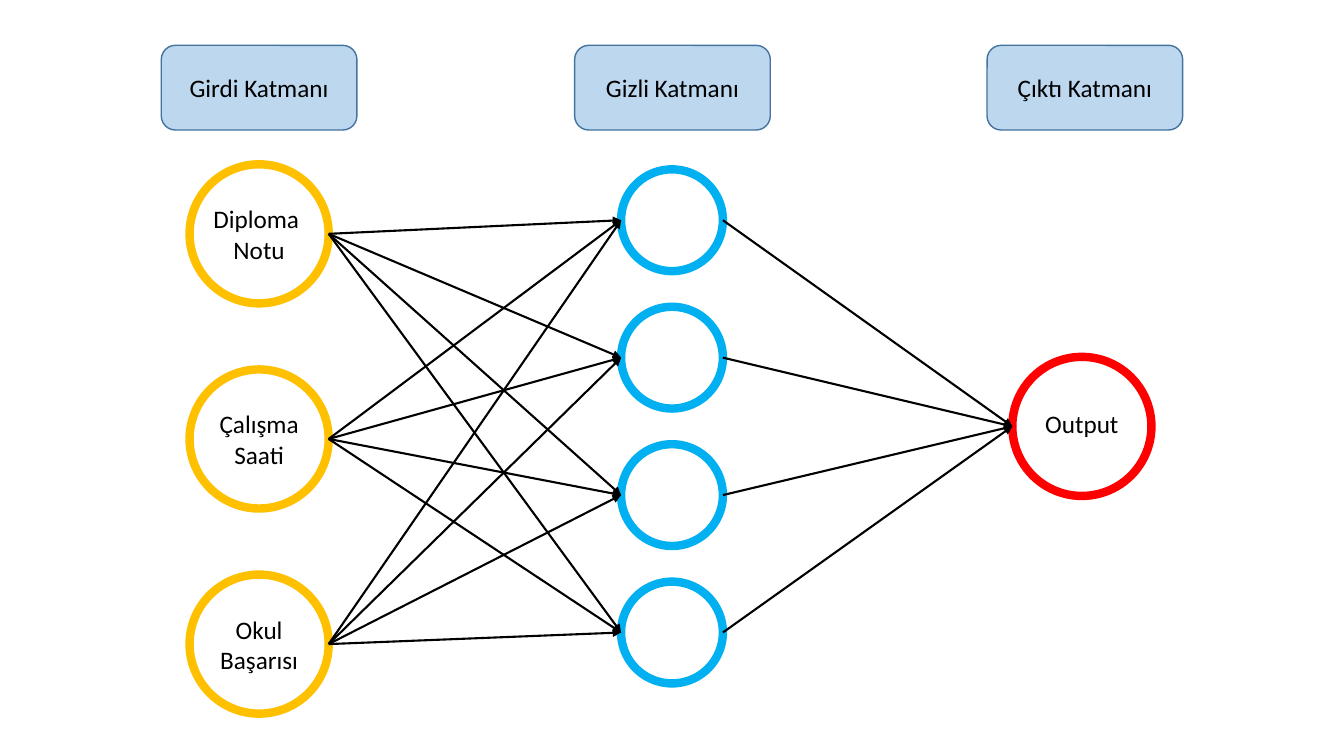
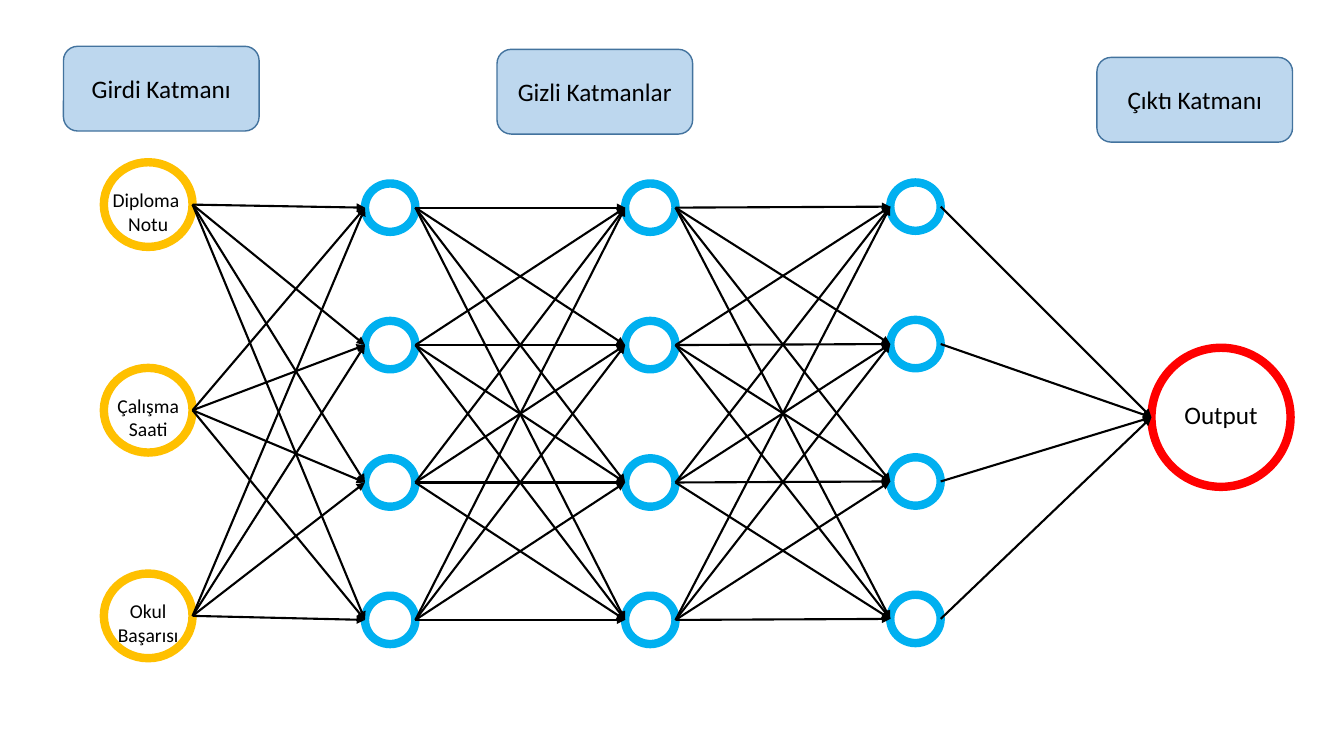
from dataclasses import dataclass
from itertools import pairwise, product

from lxml.etree import SubElement
from pptx import Presentation
from pptx.dml.color import RGBColor
from pptx.enum.shapes import MSO_CONNECTOR, MSO_SHAPE
from pptx.enum.text import MSO_ANCHOR, PP_ALIGN
from pptx.oxml.ns import qn
from pptx.shapes.autoshape import Shape
from pptx.slide import Slide
from pptx.text.text import TextFrame
from pptx.util import Inches, Pt

FONT = "Calibri"
BLACK = "000000"
INPUT_RING = "FFC000"
HIDDEN_RING = "00B0F0"
OUTPUT_RING = "FF0000"
LABEL_FILL = "BDD7EE"
LABEL_LINE = "43739E"
LABEL_WIDTH, LABEL_HEIGHT = 1.94, 0.84
ELLIPSE_LEFT_SITE, ELLIPSE_RIGHT_SITE = 2, 6


@dataclass(frozen=True)
class Label:
    text: str
    left: float
    top: float


@dataclass(frozen=True)
class Layer:
    ring: str
    left: float
    first_top: float
    last_top: float
    width: float
    height: float
    captions: tuple[tuple[str, ...], ...]
    text_size: int = 18
    text_shift: float = 0

    def tops(self) -> list[float]:
        gaps = len(self.captions) - 1
        pitch = (self.last_top - self.first_top) / gaps if gaps else 0
        return [self.first_top + index * pitch for index in range(gaps + 1)]


@dataclass(frozen=True)
class Network:
    labels: tuple[Label, ...]
    layers: tuple[Layer, ...]


INPUTS = (("Diploma ", "Notu"), ("Çalışma", "Saati"), ("Okul", "Başarısı"))
HIDDEN = ((),) * 4
OUTPUTS = (("Output",),)

NETWORKS = (
    Network(
        (
            Label("Girdi Katmanı", 1.6, 0.45),
            Label("Gizli Katmanı", 5.7, 0.45),
            Label("Çıktı Katmanı", 9.79, 0.45),
        ),
        (
            Layer(INPUT_RING, 1.88, 1.63, 5.7, 1.38, 1.38, INPUTS),
            Layer(HIDDEN_RING, 6.16, 1.68, 5.77, 1.01, 1.01, HIDDEN),
            Layer(OUTPUT_RING, 10.04, 3.54, 3.54, 1.38, 1.38, OUTPUTS, text_shift=-0.03),
        ),
    ),
    Network(
        (
            Label("Girdi Katmanı", 0.63, 0.46),
            Label("Gizli Katmanlar", 4.93, 0.49),
            Label("Çıktı Katmanı", 10.88, 0.57),
        ),
        (
            Layer(INPUT_RING, 1.03, 1.61, 5.69, 0.88, 0.84, INPUTS, 14, 0.07),
            Layer(HIDDEN_RING, 3.62, 1.82, 5.91, 0.5, 0.48, HIDDEN),
            Layer(HIDDEN_RING, 6.2, 1.82, 5.91, 0.5, 0.48, HIDDEN),
            Layer(HIDDEN_RING, 8.83, 1.81, 5.9, 0.5, 0.48, HIDDEN),
            Layer(OUTPUT_RING, 11.42, 3.45, 3.45, 1.38, 1.38, OUTPUTS, text_shift=-0.03),
        ),
    ),
)


def color(value: str) -> RGBColor:
    return RGBColor.from_string(value)


def write_lines(frame: TextFrame, lines: tuple[str, ...], size: int) -> None:
    frame.word_wrap = False
    frame.vertical_anchor = MSO_ANCHOR.MIDDLE
    frame.margin_left = frame.margin_right = frame.margin_top = frame.margin_bottom = 0
    for index, line in enumerate(lines):
        para = frame.add_paragraph() if index else frame.paragraphs[0]
        para.alignment = PP_ALIGN.CENTER
        span = para.add_run()
        span.text = line
        span.font.name = FONT
        span.font.size = Pt(size)
        span.font.color.rgb = color(BLACK)


def add_label(page: Slide, label: Label) -> None:
    box = page.shapes.add_shape(
        MSO_SHAPE.ROUNDED_RECTANGLE,
        Inches(label.left), Inches(label.top), Inches(LABEL_WIDTH), Inches(LABEL_HEIGHT),
    )
    box.shadow.inherit = False
    box.fill.solid()
    box.fill.fore_color.rgb = color(LABEL_FILL)
    box.line.color.rgb = color(LABEL_LINE)
    box.line.width = Pt(1)
    write_lines(box.text_frame, (label.text,), 18)


def add_neuron(page: Slide, layer: Layer, top: float, caption: tuple[str, ...]) -> Shape:
    left, width, height = Inches(layer.left), Inches(layer.width), Inches(layer.height)
    neuron = page.shapes.add_shape(MSO_SHAPE.OVAL, left, Inches(top), width, height)
    neuron.shadow.inherit = False
    neuron.fill.background()
    neuron.line.color.rgb = color(layer.ring)
    neuron.line.width = Pt(6)
    if caption:
        box = page.shapes.add_textbox(left, Inches(top + layer.text_shift), width, height)
        write_lines(box.text_frame, caption, layer.text_size)
    return neuron


def add_arrow(page: Slide, source: Shape, target: Shape) -> None:
    arrow = page.shapes.add_connector(
        MSO_CONNECTOR.STRAIGHT,
        source.left + source.width, source.top + source.height // 2,
        target.left, target.top + target.height // 2,
    )
    arrow.line.color.rgb = color(BLACK)
    arrow.line.width = Pt(1.5)
    SubElement(arrow.line._get_or_add_ln(), qn("a:tailEnd"), type="triangle")
    SubElement(arrow._element.spPr, qn("a:effectLst"))
    joints = arrow._element.find(f"{qn('p:nvCxnSpPr')}/{qn('p:cNvCxnSpPr')}")
    SubElement(joints, qn("a:stCxn"), id=str(source.shape_id), idx=str(ELLIPSE_RIGHT_SITE))
    SubElement(joints, qn("a:endCxn"), id=str(target.shape_id), idx=str(ELLIPSE_LEFT_SITE))


def draw_network(page: Slide, network: Network) -> None:
    for label in network.labels:
        add_label(page, label)
    columns = [
        [add_neuron(page, layer, top, caption) for top, caption in zip(layer.tops(), layer.captions)]
        for layer in network.layers
    ]
    for sources, targets in pairwise(columns):
        for source, target in product(sources, targets):
            add_arrow(page, source, target)


def main() -> None:
    deck = Presentation()
    deck.slide_width, deck.slide_height = Inches(13.33), Inches(7.5)
    blank_layout = deck.slide_layouts[6]
    for network in NETWORKS:
        draw_network(deck.slides.add_slide(blank_layout), network)
    deck.save("out.pptx")


if __name__ == "__main__":
    main()
